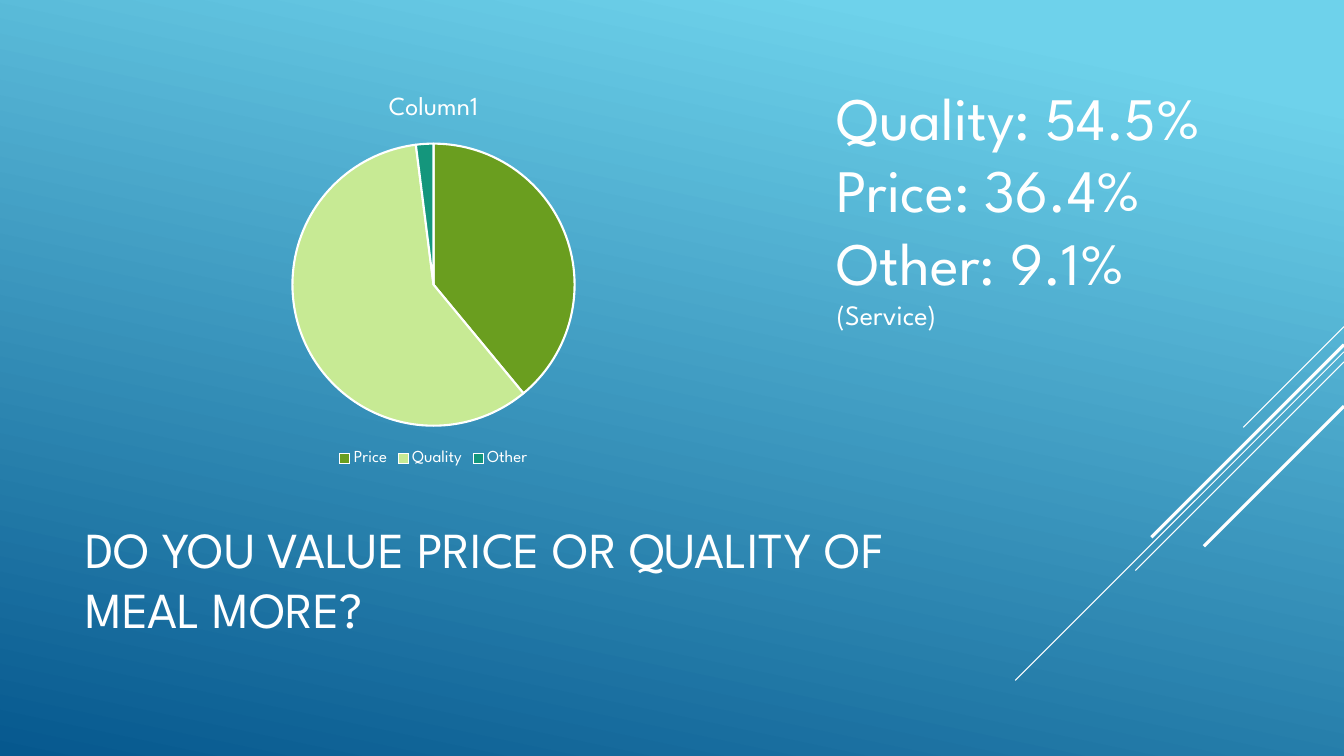
from lxml.etree import SubElement
from pptx import Presentation
from pptx.chart.data import CategoryChartData
from pptx.dml.color import RGBColor
from pptx.enum.chart import XL_CHART_TYPE as ChartType, XL_LEGEND_POSITION as LegendPosition
from pptx.enum.shapes import MSO_CONNECTOR as Connector
from pptx.enum.text import MSO_ANCHOR as Anchor
from pptx.oxml.ns import qn
from pptx.util import Inches, Pt

FONT = "League Spartan"
WHITE = "FFFFFF"


def color(value):
    """Turn a hex string into a colour."""
    return RGBColor.from_string(value)


def style_font(font, size, ink=WHITE):
    """Set typeface, size, weight and colour of a font."""
    font.name, font.size, font.bold = FONT, Pt(size), False
    font.color.rgb = color(ink)


def add_text(slide, box, lines, anchor=Anchor.TOP, ink=WHITE):
    """Write (text, size) lines as paragraphs in a box."""
    frame = slide.shapes.add_textbox(*map(Inches, box)).text_frame
    frame.word_wrap = True
    frame.vertical_anchor = anchor
    for index, (text, size) in enumerate(lines):
        paragraph = frame.paragraphs[0] if index == 0 else frame.add_paragraph()
        run = paragraph.add_run()
        run.text = text
        style_font(run.font, size, ink)


def paint_background(slide):
    """Fill the slide with the slanted blue gradient."""
    fill = slide.background.fill
    fill.gradient()
    fill.gradient_angle = 258
    for stop, position, shade in zip(fill.gradient_stops, (0.1, 1), ("6ED2EB", "06588E")):
        stop.position = position
        stop.color.rgb = color(shade)


def draw_streaks(slide, right, top, streaks):
    """Draw 45-degree streaks down and left from the right edge."""
    for drop, length, weight in streaks:
        start = top + drop
        ends = map(Inches, (right, start, right - length, start + length))
        streak = slide.shapes.add_connector(Connector.STRAIGHT, *ends)
        streak.line.color.rgb = color(WHITE)
        streak.line.width = Pt(weight)
        SubElement(streak._element.spPr, qn("a:effectLst"))


def draw_survey_pie(slide, box, title, answers):
    """Chart (answer, share, shade) rows as a titled pie."""
    data = CategoryChartData()
    data.categories = [answer for answer, _, _ in answers]
    data.add_series(title, [share for _, share, _ in answers])
    chart = slide.shapes.add_chart(ChartType.PIE, *map(Inches, box), data).chart
    style_font(chart.font, 10)

    chart.has_title = True
    heading = chart.chart_title.text_frame
    heading.text = title
    style_font(heading.paragraphs[0].runs[0].font, 18.6)

    chart.has_legend = True
    chart.legend.position = LegendPosition.BOTTOM
    chart.legend.include_in_layout = False
    style_font(chart.legend.font, 12)

    pie = chart.plots[0]
    pie.vary_by_categories = True
    for index, (_, _, shade) in enumerate(answers):
        slice_format = pie.series[0].points[index].format
        slice_format.fill.solid()
        slice_format.fill.fore_color.rgb = color(shade)
        slice_format.line.color.rgb = color(WHITE)
        slice_format.line.width = Pt(1.5)


def build_survey_slide(deck):
    """Place the pie, the shares and the question on a blank slide."""
    slide = deck.slides.add_slide(deck.slide_layouts[6])
    paint_background(slide)
    draw_streaks(slide, 13.33, 3.24, [
        (0, 1, 0.75), (0.25, 3.26, 0.75), (0.35, 2.07, 0.75),
        (0.18, 1.91, 2.25), (0.79, 1.39, 2.25)])
    add_text(slide, (0.75, 4.91, 9.33, 1.65),
             [("DO YOU VALUE PRICE OR QUALITY OF MEAL MORE?", 36)], anchor=Anchor.MIDDLE)
    draw_survey_pie(slide, (0.75, 0.75, 7.1, 3.92), "Column1", [
        ("Price", 39, "6A9E1F"), ("Quality", 59, "C7EA94"), ("Other", 2, "14967C")])
    add_text(slide, (8.2, 0.75, 4.16, 3.4), [
        ("Quality: 54.5%", 43), ("Price: 36.4%", 43), ("Other: 9.1%", 43), ("(Service)", 20)])


deck = Presentation()
deck.slide_width, deck.slide_height = Inches(13.33), Inches(7.5)
build_survey_slide(deck)
deck.save("out.pptx")
